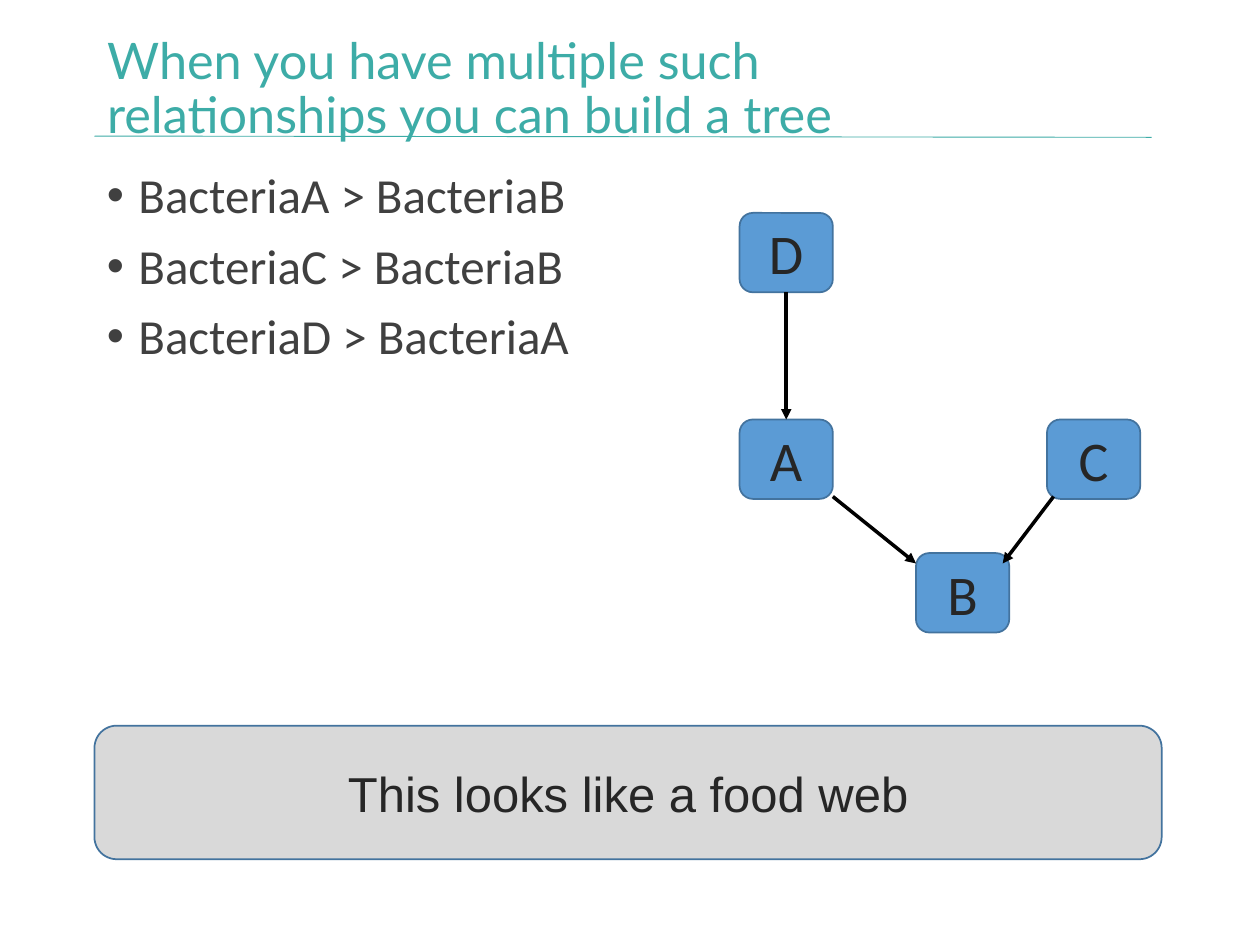
from pptx import Presentation
from pptx.dml.color import RGBColor
from pptx.enum.shapes import MSO_CONNECTOR, MSO_SHAPE
from pptx.enum.text import MSO_ANCHOR, MSO_AUTO_SIZE, PP_ALIGN
from pptx.oxml.ns import qn
from pptx.util import Inches, Pt
from lxml.etree import SubElement

LEFT = 0.75
WIDE, HIGH = 0.74, 0.63
NODES = {"A": (5.87, 3.33), "B": (7.27, 4.39), "C": (8.31, 3.33), "D": (5.87, 1.69)}
INSET = 0.07
FACTS = ["BacteriaA > BacteriaB", "BacteriaC > BacteriaB", "BacteriaD > BacteriaA"]


def color(code):
    """Turn a hex string into a colour."""
    return RGBColor.from_string(code)


def place(shape, left, top, width, height):
    """Set a shape's box in inches."""
    shape.left, shape.top = Inches(left), Inches(top)
    shape.width, shape.height = Inches(width), Inches(height)


def style(para, font, size, code, align=PP_ALIGN.LEFT):
    """Format a paragraph and its runs."""
    para.alignment = align
    for run in para.runs:
        run.font.name, run.font.size = font, Pt(size)
        run.font.color.rgb = color(code)


def add_title(slide, text):
    """Fill and move the title placeholder."""
    title = slide.shapes.title
    place(title, LEFT, 0.35, 7.49, 0.73)
    frame = title.text_frame
    frame.text = text
    frame.auto_size = MSO_AUTO_SIZE.NONE
    frame.vertical_anchor = MSO_ANCHOR.MIDDLE
    frame.paragraphs[0].line_spacing = 0.9
    style(frame.paragraphs[0], "Lato", 28.8, "3DACA7")


def add_list(slide, items):
    """Add the bulleted list of facts."""
    box = slide.shapes.add_textbox(0, 0, 0, 0)
    place(box, LEFT, 1.31, 4.05, 2.02)
    frame = box.text_frame
    frame.word_wrap = True
    frame.text = "\n".join(items)
    for para in frame.paragraphs:
        style(para, "Calibri", 28, "404040")
        para.line_spacing, para.space_before = 0.9, Pt(10)
        props = para._p.get_or_add_pPr()
        props.set("marL", str(Inches(0.25)))
        props.set("indent", str(-Inches(0.25)))
        SubElement(props, qn("a:buFont"), typeface="Arial")
        SubElement(props, qn("a:buChar"), char="•")


def add_box(slide, text, area, fill, font, size):
    """Add a rounded box with centred text."""
    box = slide.shapes.add_shape(MSO_SHAPE.ROUNDED_RECTANGLE, 0, 0, 0, 0)
    place(box, *area)
    box.shadow.inherit = False
    box.fill.solid()
    box.fill.fore_color.rgb = color(fill)
    box.line.color.rgb = color("43739E")
    box.line.width = Pt(1)
    box.text_frame.text = text
    box.text_frame.vertical_anchor = MSO_ANCHOR.MIDDLE
    style(box.text_frame.paragraphs[0], font, size, "262626", PP_ALIGN.CENTER)


def add_line(slide, start, end, code, width, arrow=False):
    """Add a straight line, with an arrowhead if asked."""
    ends = [Inches(value) for value in (*start, *end)]
    line = slide.shapes.add_connector(MSO_CONNECTOR.STRAIGHT, *ends)
    line.line.color.rgb = color(code)
    line.line.width = Pt(width)
    if arrow:
        SubElement(line.line._get_or_add_ln(), qn("a:tailEnd"), type="triangle")
    SubElement(line._element.spPr, qn("a:effectLst"))


def spot(name, across, down):
    """Find a point on a node by shares of its size."""
    left, top = NODES[name]
    return left + across * WIDE, top + down * HIGH


def main():
    """Build the slide."""
    deck = Presentation()
    deck.slide_width, deck.slide_height = Inches(10), Inches(7.5)
    slide = deck.slides.add_slide(deck.slide_layouts[5])
    add_line(slide, (LEFT, 1.08), (9.14, 1.09), "3DACA7", 0.5)
    add_title(slide, "When you have multiple such relationships you can build a tree")
    add_list(slide, FACTS)
    for name, corner in NODES.items():
        add_box(slide, name, (*corner, WIDE, HIGH), "5B9BD5", "Calibri", 32)
    links = [
        (spot("A", 1, 0.97), spot("B", 0, 0.13)),
        (spot("C", INSET, 0.97), spot("B", 1 - INSET, 0.13)),
        (spot("D", 0.5, 1), spot("A", 0.5, 0)),
    ]
    for start, end in links:
        add_line(slide, start, end, "000000", 2, arrow=True)
    note = (LEFT, 5.76, 8.47, 1.06)
    add_box(slide, "This looks like a food web", note, "D9D9D9", "Arial", 28)
    deck.save("out.pptx")


if __name__ == "__main__":
    main()
